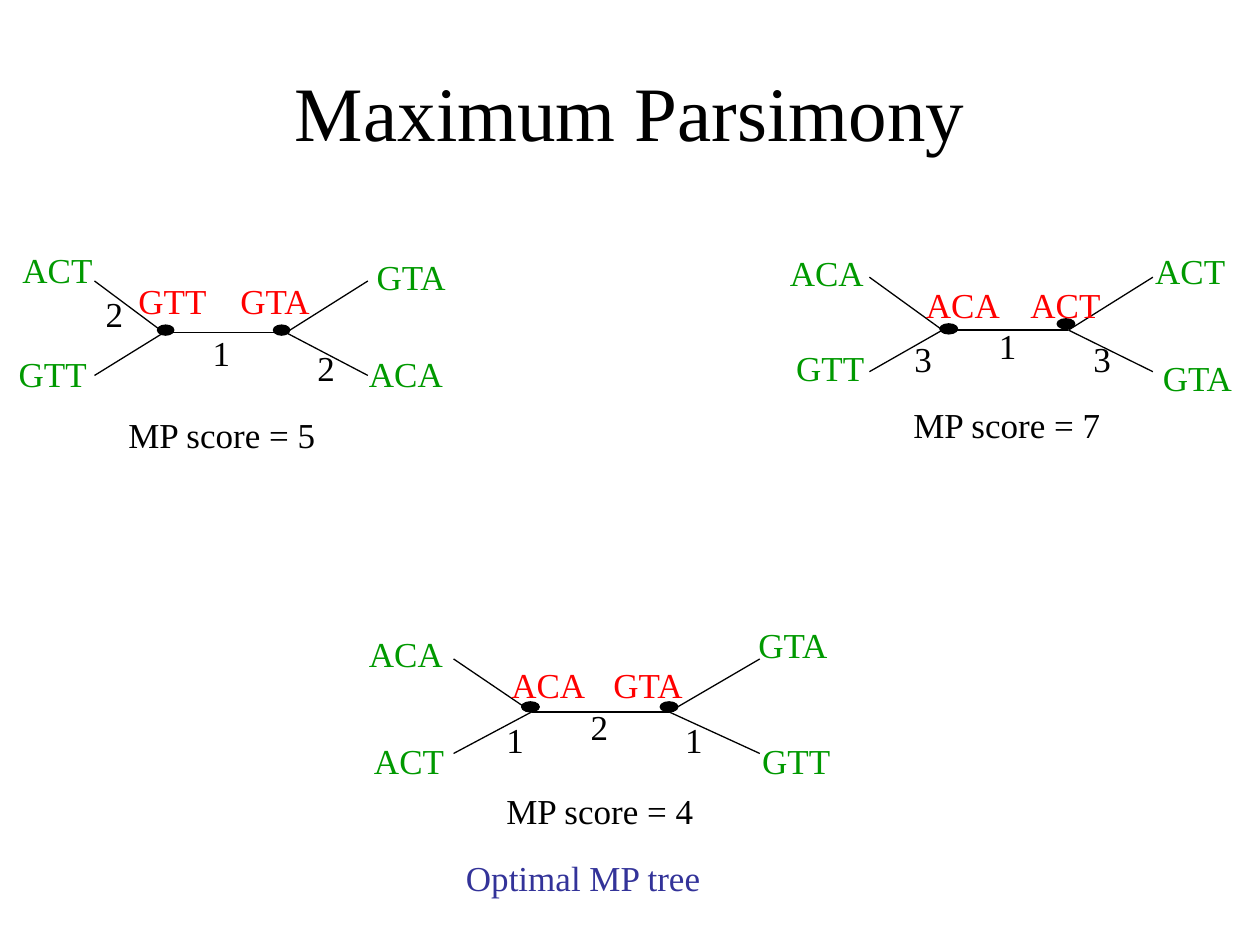
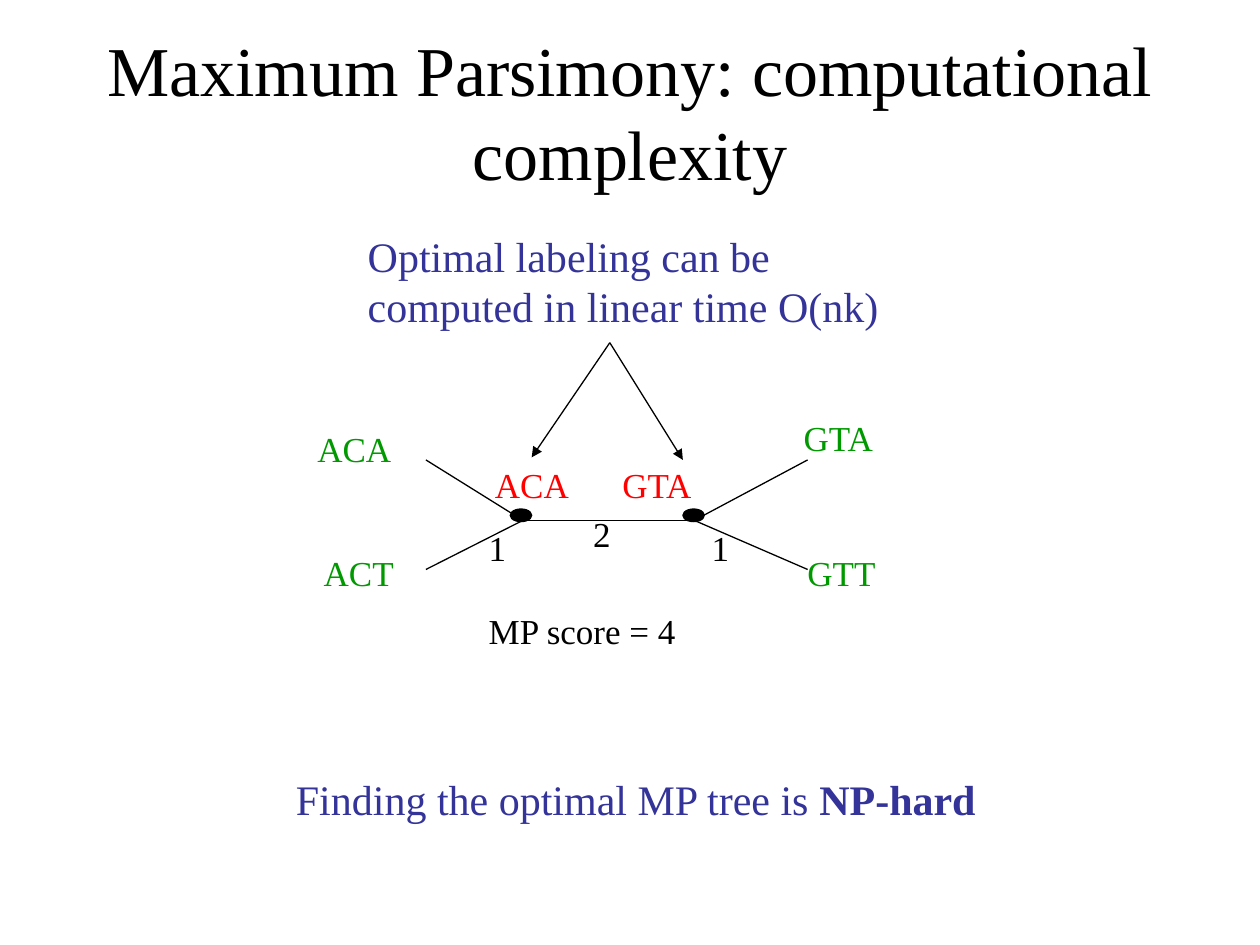
from pptx import Presentation
from pptx.dml.color import RGBColor as Rgb
from pptx.enum.shapes import MSO_CONNECTOR as Line, MSO_SHAPE as Shape
from pptx.enum.text import MSO_ANCHOR as Anchor, MSO_AUTO_SIZE as Fit
from pptx.enum.text import PP_ALIGN as Align
from pptx.oxml.ns import qn
from pptx.util import Inches, Pt
from lxml.etree import SubElement

FONT = "Times New Roman"
BLACK, GREEN, RED, BLUE = "000000", "009900", "FF0000", "333399"
WIDTHS = {"ACT": 0.77, "GTT": 0.75, "GTA": 0.78, "ACA": 0.8}

# nodes: left x, right x, y; tips: left x, right x, top y, bottom y
# labels: text, left, top
TREES = [
    {
        "nodes": (1.3, 2.27, 2.64), "tips": (0.75, 2.92, 2.23, 2.98),
        "dots": [(1.25, 2.58), (2.17, 2.58)], "size": (0.13, 0.08),
        "leaves": [("ACT", 0.08, 1.92), ("GTT", 0.05, 2.75),
                   ("GTA", 2.89, 1.98), ("ACA", 2.83, 2.75)],
        "inner": [("GTT", 1, 2.17), ("GTA", 1.81, 2.17)],
        "costs": [("2", 0.74, 2.27), ("1", 1.59, 2.58), ("2", 2.42, 2.7)],
        "score": ("MP score = 5", 0.92, 3.23),
    },
    {
        "nodes": (7.48, 8.48, 2.62), "tips": (6.9, 9.15, 2.2, 2.95),
        "dots": [(7.46, 2.57), (8.39, 2.53)], "size": (0.14, 0.08),
        "leaves": [("ACA", 6.17, 1.95), ("GTT", 6.22, 2.7),
                   ("ACT", 9.07, 1.93), ("GTA", 9.13, 2.78)],
        "inner": [("ACA", 7.25, 2.2), ("ACT", 8.08, 2.2)],
        "costs": [("3", 7.16, 2.63), ("1", 7.83, 2.53), ("3", 8.58, 2.63)],
        "score": ("MP score = 7", 7.15, 3.15),
    },
    {
        "nodes": (4.22, 5.31, 5.65), "tips": (3.6, 6.03, 5.23, 5.98),
        "dots": [(4.14, 5.57), (5.24, 5.57)], "size": (0.14, 0.08),
        "leaves": [("ACA", 2.83, 4.97), ("ACT", 2.87, 5.82),
                   ("GTA", 5.92, 4.9), ("GTT", 5.95, 5.82)],
        "inner": [("ACA", 3.96, 5.22), ("GTA", 4.77, 5.22)],
        "costs": [("1", 3.92, 5.65), ("2", 4.59, 5.55), ("1", 5.34, 5.65)],
        "score": ("MP score = 4", 3.92, 6.22),
    },
]

LABELED = {
    "nodes": (4.15, 5.51, 4.13), "tips": (3.38, 6.41, 3.65, 4.52),
    "dots": [(4.05, 4.04), (5.42, 4.04)], "size": (0.17, 0.1),
    "leaves": [("ACA", 2.42, 3.34), ("ACT", 2.47, 4.33),
               ("GTA", 6.28, 3.26), ("GTT", 6.31, 4.33)],
    "inner": [("ACA", 3.83, 3.63), ("GTA", 4.84, 3.63)],
    "costs": [("1", 3.78, 4.13), ("2", 4.61, 4.02), ("1", 5.55, 4.13)],
    "score": ("MP score = 4", 3.78, 4.79),
}


def color(hex_str):
    return Rgb.from_string(hex_str)


def add_text(slide, box, lines, fmt=None, hue=BLACK, wrap=False,
             align=Align.LEFT, anchor=Anchor.TOP):
    """Add a text box; each line is a list of (text, bold) runs."""
    frame = slide.shapes.add_textbox(*map(Inches, box)).text_frame
    frame.word_wrap = wrap
    frame.auto_size = Fit.NONE if wrap else Fit.SHAPE_TO_FIT_TEXT
    frame.vertical_anchor = anchor
    style = {"name": FONT, "size": Pt(20)} | (fmt or {})
    for i, runs in enumerate(lines):
        para = frame.paragraphs[0] if i == 0 else frame.add_paragraph()
        para.alignment = align
        for text, bold in runs:
            run = para.add_run()
            run.text = text
            for key, value in (style | {"bold": bold}).items():
                setattr(run.font, key, value)
            run.font.color.rgb = color(hue)


def add_title(slide, text, size):
    add_text(slide, (0.75, 0.25, 8.5, 1.25), [[(text, False)]],
             {"size": Pt(size)}, wrap=True, align=Align.CENTER,
             anchor=Anchor.MIDDLE)


def add_label(slide, text, left, top, width, hue=BLACK):
    add_text(slide, (left, top, width, 0.44), [[(text, False)]], hue=hue)


def add_line(slide, start, end, arrow=False):
    line = slide.shapes.add_connector(
        Line.STRAIGHT, *map(Inches, (*start, *end)))
    line.line.color.rgb = color(BLACK)
    line.line.width = Pt(0.75)
    if arrow:
        SubElement(line.line._get_or_add_ln(), qn("a:tailEnd"),
                   type="triangle")
    SubElement(line._element.spPr, qn("a:effectLst"))


def add_dot(slide, spot, size):
    dot = slide.shapes.add_shape(Shape.OVAL, *map(Inches, (*spot, *size)))
    dot.shadow.inherit = False
    dot.fill.solid()
    dot.fill.fore_color.rgb = color(BLACK)
    dot.line.color.rgb = color(BLACK)
    dot.line.width = Pt(0.75)


def add_tree(slide, tree):
    """Draw a four-leaf tree with its sequences, edge costs and score."""
    left, right, mid = tree["nodes"]
    west, east, top, low = tree["tips"]
    add_line(slide, (left, mid), (right, mid))
    for node, tip in ((left, west), (right, east)):
        for level in (top, low):
            add_line(slide, (node, mid), (tip, level))
    for spot in tree["dots"]:
        add_dot(slide, spot, tree["size"])
    for part, hue in (("leaves", GREEN), ("inner", RED), ("costs", BLACK)):
        for text, x, y in tree[part]:
            add_label(slide, text, x, y, WIDTHS.get(text, 0.34), hue)
    add_label(slide, *tree["score"], 1.69)


def add_scores(slide):
    add_title(slide, "Maximum Parsimony", 44)
    for tree in TREES:
        add_tree(slide, tree)
    add_label(slide, "Optimal MP tree", 3.6, 6.75, 2.07, BLUE)


def add_complexity(slide):
    add_title(slide, "Maximum Parsimony: computational complexity", 40)
    add_tree(slide, LABELED)
    large = {"size": Pt(24)}
    add_text(slide, (2.25, 6.09, 5.6, 0.5),
             [[("Finding the optimal MP tree is ", False),
               ("NP-hard", True)]], large, BLUE)
    add_text(slide, (2.82, 1.78, 4.27, 0.9),
             [[("Optimal labeling can be", False)],
              [("computed in linear time O(nk)", False)]], large, BLUE)
    for end in ((4.22, 3.63), (5.42, 3.65)):
        add_line(slide, (4.84, 2.72), end, arrow=True)


def main():
    deck = Presentation()
    deck.slide_width, deck.slide_height = Inches(10), Inches(7.5)
    for build in (add_scores, add_complexity):
        build(deck.slides.add_slide(deck.slide_layouts[6]))
    deck.save("out.pptx")


if __name__ == "__main__":
    main()
